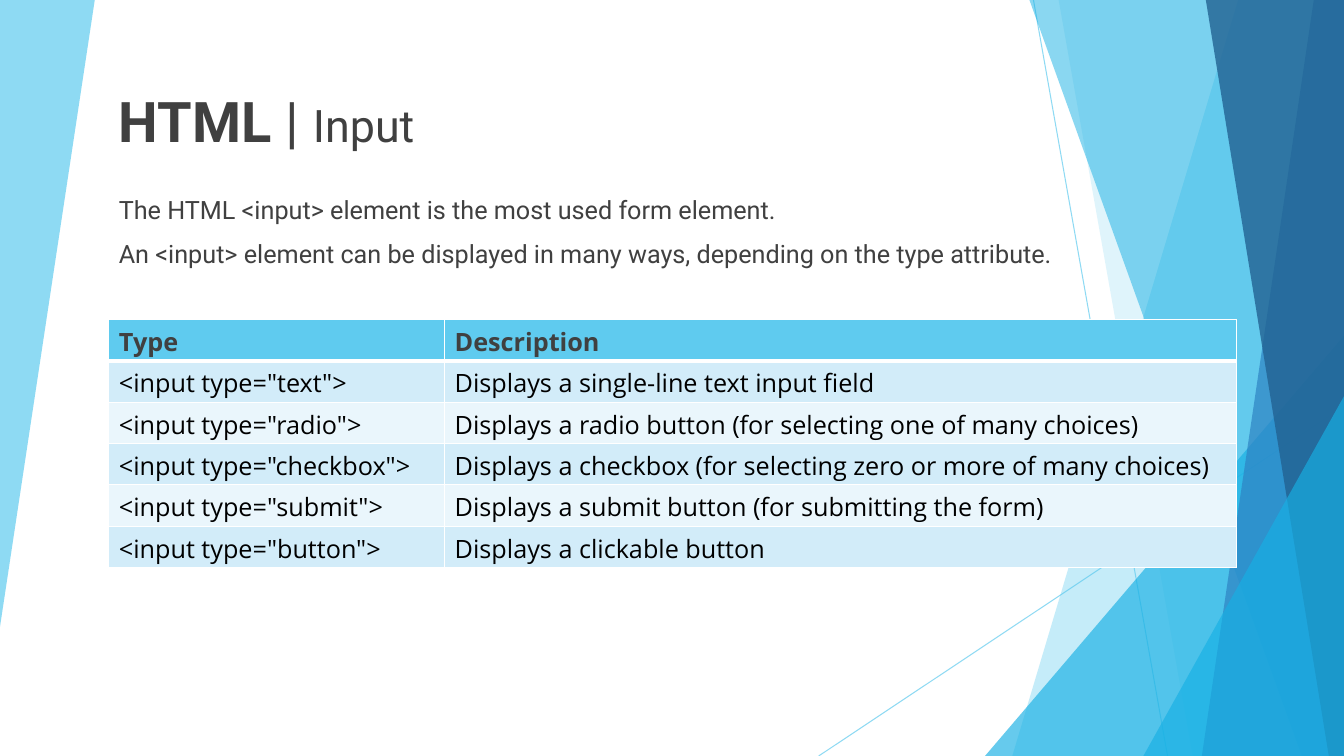
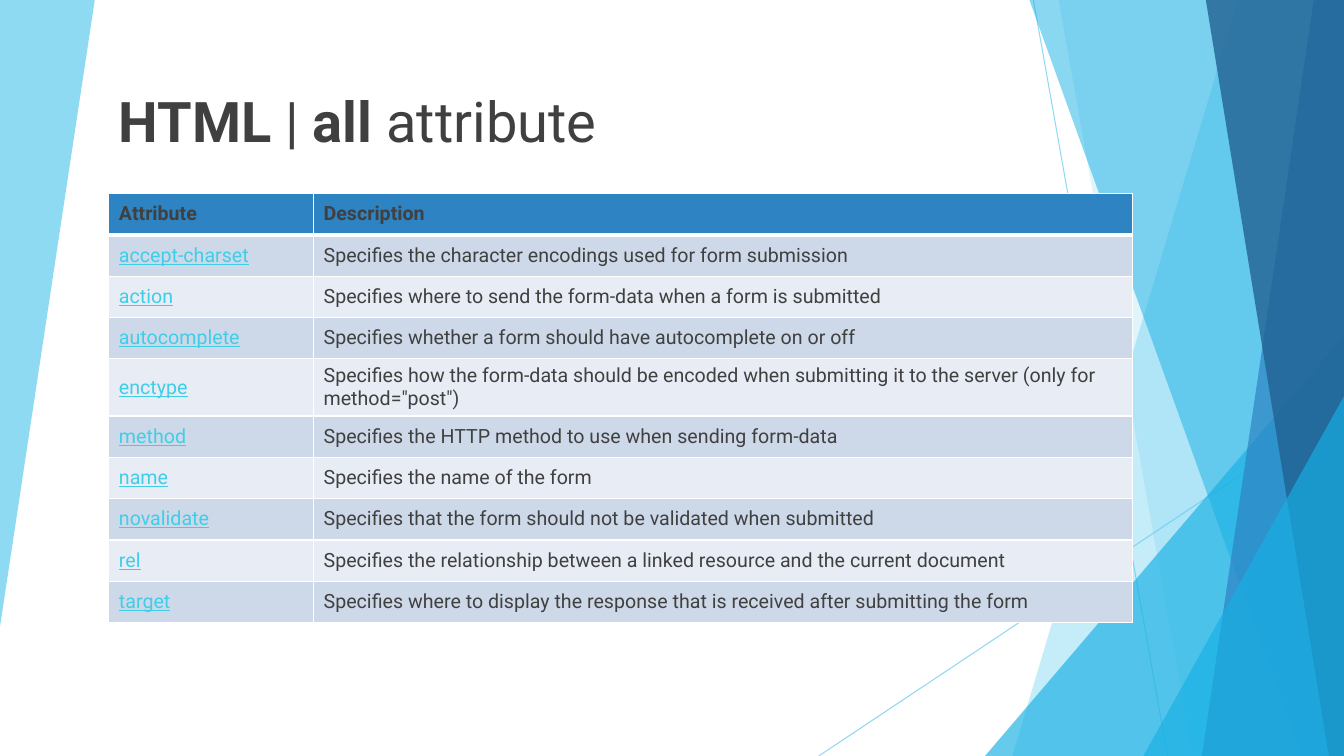
from lxml.etree import SubElement
from pptx import Presentation
from pptx.dml.color import RGBColor
from pptx.enum.shapes import MSO_CONNECTOR, MSO_SHAPE
from pptx.enum.text import MSO_ANCHOR
from pptx.oxml.ns import qn
from pptx.util import Inches, Pt

WIDTH, HEIGHT = 13.33, 7.5
MARGIN = 1.08
TITLE_BOX = (MARGIN, 0.51, 9.21, 1.06)
WHITE, BLACK, INK, LINK = "FFFFFF", "000000", "404040", "3FCDE7"
SKY, AZURE, BLUE, NAVY = "5FCBEF", "17B0E4", "2E83C3", "226292"
BODY_FONT, TABLE_FONT = "Roboto", "Open Sans"

LINES = [((10.25, 0), (11.58, HEIGHT)), ((WIDTH, 4.03), (8.12, HEIGHT))]
BACK_PANELS = [(12.28, 10.04, SKY, 36), (10.5, 11.83, SKY, 20)]
FRONT_PANELS = [(10.21, 12.91, AZURE, 50), (13.03, 11.92, BLUE, 70), (11.96, 13.18, NAVY, 80)]

INPUT_ROWS = [
    ("Type", "Description"),
    ('<input type="text">', "Displays a single-line text input field"),
    ('<input type="radio">', "Displays a radio button (for selecting one of many choices)"),
    ('<input type="checkbox">', "Displays a checkbox (for selecting zero or more of many choices)"),
    ('<input type="submit">', "Displays a submit button (for submitting the form)"),
    ('<input type="button">', "Displays a clickable button"),
]
ATTRIBUTE_ROWS = [
    ("Attribute", "Description"),
    ("accept-charset", "Specifies the character encodings used for form submission"),
    ("action", "Specifies where to send the form-data when a form is submitted"),
    ("autocomplete", "Specifies whether a form should have autocomplete on or off"),
    ("enctype", "Specifies how the form-data should be encoded when submitting it "
                'to the server (only for method="post")'),
    ("method", "Specifies the HTTP method to use when sending form-data"),
    ("name", "Specifies the name of the form"),
    ("novalidate", "Specifies that the form should not be validated when submitted"),
    ("rel", "Specifies the relationship between a linked resource and the current document"),
    ("target", "Specifies where to display the response that is received after submitting the form"),
]


def color(value):
    """Turn a hex string into a colour."""
    return RGBColor.from_string(value)


def set_opacity(shape, percent):
    """Make every colour of a shape partly transparent."""
    for element in list(shape._element.spPr.iter(qn("a:srgbClr"))):
        SubElement(element, qn("a:alpha"), val=str(percent * 1000))


def paint(shape, fill, opacity):
    """Give a shape a translucent fill without outline or shadow."""
    shape.shadow.inherit = False
    shape.fill.solid()
    shape.fill.fore_color.rgb = color(fill)
    shape.line.fill.background()
    set_opacity(shape, opacity)


def add_polygon(slide, points, fill, opacity):
    """Draw a closed translucent outline."""
    corners = [(Inches(x), Inches(y)) for x, y in points]
    builder = slide.shapes.build_freeform(*corners[0])
    builder.add_line_segments(corners[1:], close=True)
    paint(builder.convert_to_shape(), fill, opacity)


def add_panel(slide, top_x, bottom_x, fill, opacity):
    """Draw a slanted panel that reaches the right edge."""
    points = [(top_x, 0), (WIDTH, 0), (WIDTH, HEIGHT), (bottom_x, HEIGHT)]
    add_polygon(slide, points, fill, opacity)


def add_corner(slide, left, top):
    """Draw a triangle in the lower right corner."""
    shape = slide.shapes.add_shape(
        MSO_SHAPE.ISOSCELES_TRIANGLE, Inches(left), Inches(top),
        Inches(WIDTH - left), Inches(HEIGHT - top))
    shape.adjustments[0] = 1.0
    paint(shape, AZURE, 66)


def add_thin_line(slide, start, end):
    """Draw a fine translucent line."""
    connector = slide.shapes.add_connector(
        MSO_CONNECTOR.STRAIGHT, *(Inches(value) for value in start + end))
    connector.line.color.rgb = color(SKY)
    connector.line.width = Pt(0.75)
    set_opacity(connector, 70)
    SubElement(connector._element.spPr, qn("a:effectLst"))


def add_backdrop(slide):
    """Draw the facets shared by all slides."""
    add_polygon(slide, [(0, 0), (0.94, 0), (0, 6.22)], SKY, 70)
    for start, end in LINES:
        add_thin_line(slide, start, end)
    for panel in BACK_PANELS:
        add_panel(slide, *panel)
    add_corner(slide, 9.77, 3.33)
    for panel in FRONT_PANELS:
        add_panel(slide, *panel)
    add_corner(slide, 11.34, 3.93)


def add_run(paragraph, text, size, font=BODY_FONT, ink=INK, bold=False, underline=False):
    """Append one formatted run."""
    run = paragraph.add_run()
    run.text = text
    run.font.size = Pt(size)
    run.font.name = font
    run.font.color.rgb = color(ink)
    run.font.bold = bold
    run.font.underline = underline


def add_text(slide, box, paragraphs, anchor=MSO_ANCHOR.TOP, space_before=0):
    """Fill a text box with paragraphs of (text, size, bold) runs."""
    frame = slide.shapes.add_textbox(*map(Inches, box)).text_frame
    frame.word_wrap = True
    frame.vertical_anchor = anchor
    for index, runs in enumerate(paragraphs):
        paragraph = frame.add_paragraph() if index else frame.paragraphs[0]
        paragraph.space_before = Pt(space_before)
        for text, size, bold in runs:
            add_run(paragraph, text, size, bold=bold)


def add_borders(cell, is_header):
    """Rule a cell in white, heavier below the header."""
    widths = {"L": 1, "R": 1, "T": 1 if is_header else 0, "B": 3 if is_header else 1}
    properties = cell._tc.get_or_add_tcPr()
    for side, width in widths.items():
        if width:
            line = SubElement(properties, qn(f"a:ln{side}"), w=str(Pt(width)))
            fill = SubElement(line, qn("a:solidFill"))
            SubElement(fill, qn("a:srgbClr"), val=WHITE)


def add_banded_table(slide, box, rows, widths, fills, size, font, inks, underline_first=False):
    """Build a table with a header fill and two alternating row fills."""
    left, top, row_height = box
    table = slide.shapes.add_table(
        len(rows), len(widths), Inches(left), Inches(top),
        Inches(sum(widths)), Inches(row_height * len(rows))).table
    table.first_row = table.horz_banding = False
    for column, width in zip(table.columns, widths):
        column.width = Inches(width)
    header_fill, *bands = fills
    for row_index, texts in enumerate(rows):
        is_header = row_index == 0
        table.rows[row_index].height = Inches(row_height)
        for column_index, text in enumerate(texts):
            cell = table.cell(row_index, column_index)
            add_borders(cell, is_header)
            cell.fill.solid()
            cell.fill.fore_color.rgb = color(header_fill if is_header else bands[(row_index - 1) % 2])
            cell.vertical_anchor = MSO_ANCHOR.MIDDLE
            add_run(cell.text_frame.paragraphs[0], text, size, font,
                    INK if is_header else inks[column_index], is_header,
                    underline_first and column_index == 0 and not is_header)


def add_titled_slide(presentation, title_runs):
    """Add a slide with the backdrop and a title."""
    slide = presentation.slides.add_slide(presentation.slide_layouts[6])
    add_backdrop(slide)
    add_text(slide, TITLE_BOX, [title_runs], MSO_ANCHOR.BOTTOM)
    return slide


def add_input_slide(presentation):
    """Add the slide on input types."""
    slide = add_titled_slide(
        presentation, [("HTML", 40, True), (" | ", 40, False), ("Input", 32, False)])
    sentences = [
        "The HTML <input> element is the most used form element.",
        "An <input> element can be displayed in many ways, depending on the type attribute.",
    ]
    add_text(slide, (MARGIN, 1.88, 10.01, 1.06),
             [[(sentence, 18, False)] for sentence in sentences], space_before=10)
    add_banded_table(slide, (MARGIN, 3.17, 0.41), INPUT_ROWS, (3.33, 7.85),
                     (SKY, "D2ECF9", "EAF6FC"), 18, TABLE_FONT, (BLACK, BLACK))


def add_attribute_slide(presentation):
    """Add the slide on form attributes."""
    slide = add_titled_slide(
        presentation,
        [("HTML", 40, True), (" | ", 40, False), ("all ", 40, True), ("attribute", 40, False)])
    add_banded_table(slide, (MARGIN, 1.92, 0.41), ATTRIBUTE_ROWS, (2.03, 8.12),
                     (BLUE, "CDD9E9", "E8EDF5"), 14, BODY_FONT, (LINK, INK),
                     underline_first=True)


def main():
    """Build and save the presentation."""
    presentation = Presentation()
    presentation.slide_width = Inches(WIDTH)
    presentation.slide_height = Inches(HEIGHT)
    add_input_slide(presentation)
    add_attribute_slide(presentation)
    presentation.save("out.pptx")


main()
